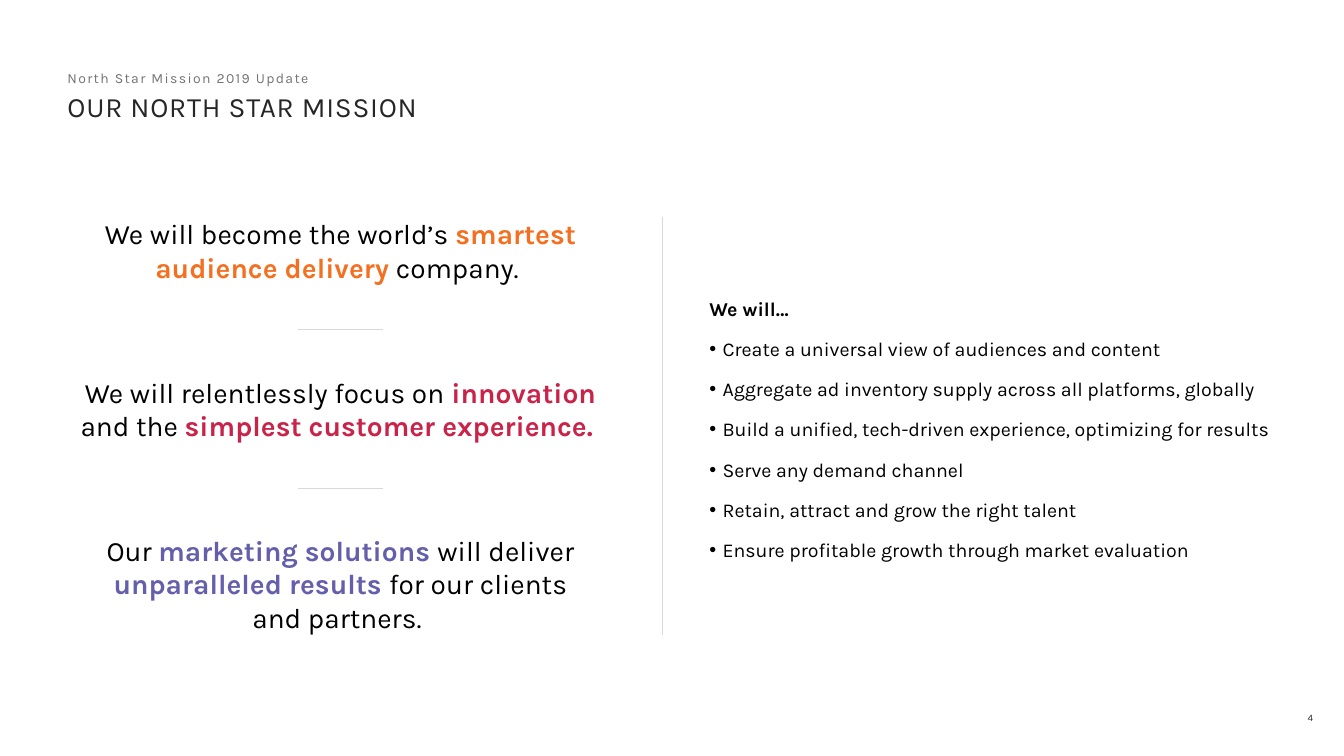
from dataclasses import dataclass

from lxml import etree
from pptx import Presentation
from pptx import util as u
from pptx.dml.color import RGBColor
from pptx.enum import shapes, text
from pptx.oxml.ns import qn


@dataclass(frozen=True)
class Theme:
    font: str = "Karla"
    black: str = "000000"
    dark: str = "262626"
    gray: str = "737373"
    rule: str = "D9D9D6"
    orange: str = "F37021"
    red: str = "C9234A"
    violet: str = "645FAA"
    head: int = 20
    body: int = 14
    small: int = 10
    tiny: int = 7
    thin: float = 0.5


class Deck:
    def __init__(self, theme):
        self.theme = theme
        self.file = Presentation()
        self.file.slide_width = u.Cm(33.87)
        self.file.slide_height = u.Cm(19.05)
        self.slide = None

    def start(self):
        self.slide = self.file.slides.add_slide(self.file.slide_layouts[5])

    def frame(self, shape, anchor=text.MSO_ANCHOR.TOP):
        frame = shape.text_frame
        frame.word_wrap = True
        frame.auto_size = text.MSO_AUTO_SIZE.NONE
        frame.vertical_anchor = anchor
        frame.margin_left = frame.margin_right = 0
        frame.margin_top = frame.margin_bottom = 0
        return frame

    def run(self, para, words, size, color, bold=False, gap=0):
        run = para.add_run()
        run.text = words
        font = run.font
        font.name = self.theme.font
        font.size = u.Pt(size)
        font.bold = bold
        font.color.rgb = RGBColor.from_string(color)
        if gap:
            run._r.get_or_add_rPr().set("spc", str(int(gap * 100)))

    def box(self, left, top, width, height, anchor=text.MSO_ANCHOR.TOP):
        shape = self.slide.shapes.add_textbox(
            u.Cm(left), u.Cm(top), u.Cm(width), u.Cm(height))
        return self.frame(shape, anchor)

    def title(self, words, left, top, width, height):
        shape = self.slide.shapes.title
        shape.left, shape.top = u.Cm(left), u.Cm(top)
        shape.width, shape.height = u.Cm(width), u.Cm(height)
        para = self.frame(shape).paragraphs[0]
        para.alignment = text.PP_ALIGN.LEFT
        para.line_spacing = 0.9
        self.run(para, words, self.theme.head, self.theme.dark, gap=0.5)

    def pitch(self, parts, accent, left, top, width, height):
        para = self.box(left, top, width, height).paragraphs[0]
        para.alignment = text.PP_ALIGN.CENTER
        for words, strong in parts:
            color = accent if strong else self.theme.black
            self.run(para, words, self.theme.head, color, strong)

    def goals(self, lead, items, left, top, width, height):
        frame = self.box(left, top, width, height)
        self.run(frame.paragraphs[0], lead, self.theme.body, self.theme.black, True)
        for item in items:
            para = frame.add_paragraph()
            self.bullet(para)
            para.space_before = u.Pt(12)
            self.run(para, item, self.theme.body, self.theme.black)

    def bullet(self, para):
        props = para._p.get_or_add_pPr()
        dent = u.Cm(0.33)
        props.set("marL", str(dent))
        props.set("indent", str(-dent))
        etree.SubElement(props, qn("a:buFont")).set("typeface", "Arial")
        etree.SubElement(props, qn("a:buChar")).set("char", "•")

    def line(self, left, top, right, bottom):
        line = self.slide.shapes.add_connector(
            shapes.MSO_CONNECTOR.STRAIGHT,
            u.Cm(left), u.Cm(top), u.Cm(right), u.Cm(bottom))
        line.line.color.rgb = RGBColor.from_string(self.theme.rule)
        line.line.width = u.Pt(self.theme.thin)
        etree.SubElement(line._element.spPr, qn("a:effectLst"))


def main():
    theme = Theme()
    deck = Deck(theme)
    deck.start()

    edge, wide = 1.7, 30.48
    deck.title("OUR NORTH STAR MISSION", edge, 2.36, wide, 0.79)
    para = deck.box(edge, 1.75, wide, 0.43).paragraphs[0]
    deck.run(para, "North Star Mission 2019 Update", theme.small, theme.gray, gap=1)

    mid, top, step = 8.58, 5.46, 3.99
    pitches = [
        (theme.orange, 12.7, 1.7, [
            ("We will become the world’s ", False),
            ("smartest audience delivery", True),
            (" company. ", False)]),
        (theme.red, 13.76, 1.7, [
            ("We will relentlessly focus on ", False),
            ("innovation ", True),
            ("and the ", False),
            ("simplest customer experience. ", True)]),
        (theme.violet, 12.45, 2.56, [
            ("Our ", False),
            ("marketing solutions ", True),
            ("will deliver ", False),
            ("unparalleled results ", True),
            ("for our clients and partners. ", False)]),
    ]
    for i, (accent, width, height, parts) in enumerate(pitches):
        y = top + i * step
        deck.pitch(parts, accent, mid - width / 2, y, width, height)
        if i:
            deck.line(mid - 1.07, y - 1.14, mid + 1.07, y - 1.14)

    deck.line(16.69, top, 16.69, 16)
    deck.goals("We will…", [
        "Create a universal view of audiences and content",
        "Aggregate ad inventory supply across all platforms, globally",
        "Build a unified, tech-driven experience, optimizing for results",
        "Serve any demand channel",
        "Retain, attract and grow the right talent",
        "Ensure profitable growth through market evaluation",
    ], 17.88, 7.47, 14.28, 6.76)

    page = deck.box(32.18, 17.78, 1.69, 0.61, text.MSO_ANCHOR.MIDDLE).paragraphs[0]
    page.alignment = text.PP_ALIGN.CENTER
    deck.run(page, "4", theme.tiny, theme.dark)

    deck.file.save("out.pptx")


if __name__ == "__main__":
    main()
